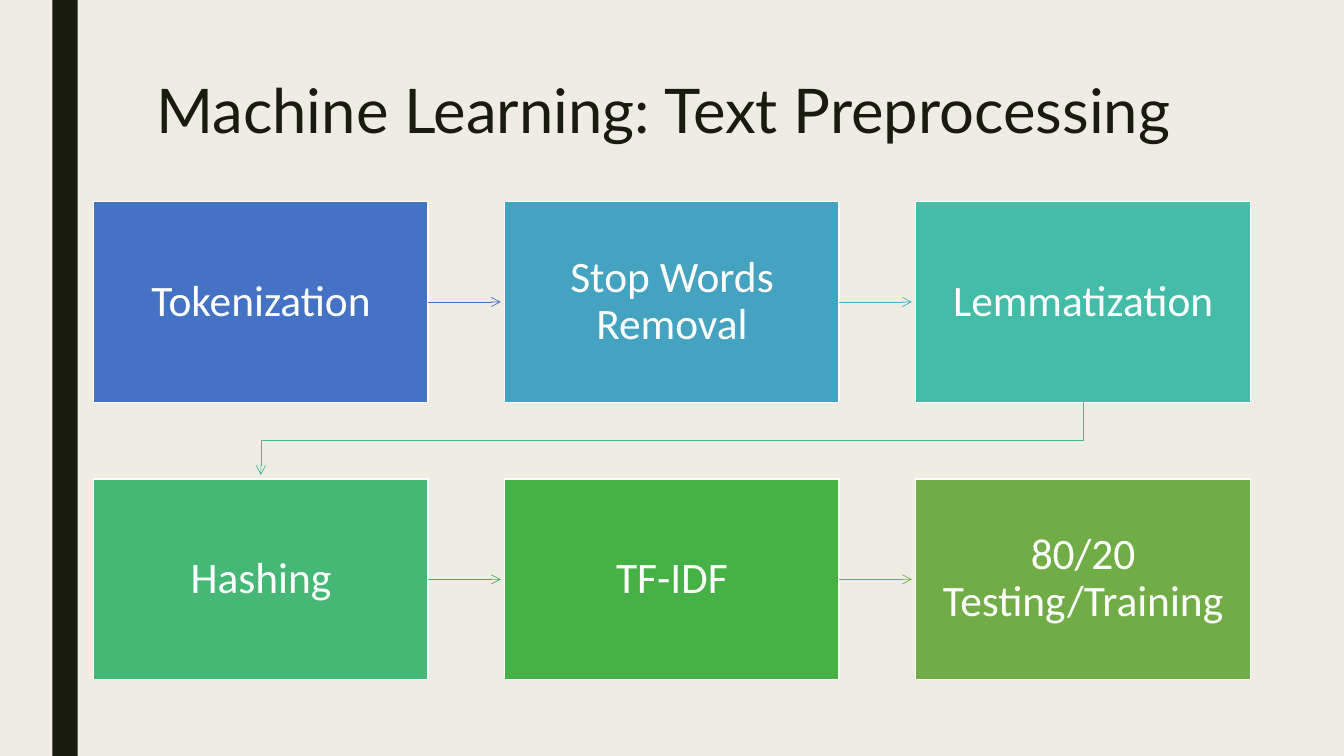
from dataclasses import dataclass

from lxml.etree import SubElement
from pptx import Presentation
from pptx.dml.color import RGBColor
from pptx.enum.shapes import MSO_CONNECTOR, MSO_SHAPE
from pptx.enum.text import MSO_ANCHOR, PP_ALIGN
from pptx.oxml.ns import qn
from pptx.shapes.autoshape import Shape
from pptx.shapes.connector import Connector
from pptx.slide import Slide
from pptx.text.text import TextFrame
from pptx.util import Cm, Pt

CREAM = RGBColor(0xEF, 0xED, 0xE3)
INK = RGBColor(0x19, 0x1B, 0x0E)
WHITE = RGBColor(0xFF, 0xFF, 0xFF)
BLUE = RGBColor(0x44, 0x72, 0xC4)
SKY = RGBColor(0x44, 0xA3, 0xC0)
CYAN = RGBColor(0x43, 0xAF, 0xC0)
TEAL = RGBColor(0x43, 0xBD, 0xA7)
SEA = RGBColor(0x43, 0xBB, 0x8D)
MINT = RGBColor(0x44, 0xB8, 0x74)
EMERALD = RGBColor(0x45, 0xB4, 0x51)
GREEN = RGBColor(0x46, 0xB2, 0x46)
OLIVE = RGBColor(0x70, 0xAD, 0x47)

# Grid of steps
COLUMNS = 3
GRID_LEFT, GRID_TOP = Cm(2.36), Cm(5.08)
COLUMN_PITCH, ROW_PITCH = Cm(10.36), Cm(6.99)
BOX_WIDTH, BOX_HEIGHT = Cm(8.43), Cm(5.06)
ARROW_GAP = Cm(0.1)
RIGHT_SIDE = 3


@dataclass(frozen=True)
class Step:
    label: str
    fill: RGBColor
    arrow: RGBColor | None = None


STEPS = [
    Step("Tokenization", BLUE, BLUE),
    Step("Stop Words Removal", SKY, CYAN),
    Step("Lemmatization", TEAL, SEA),
    Step("Hashing", MINT, EMERALD),
    Step("TF-IDF", GREEN, OLIVE),
    Step("80/20 Testing/Training", OLIVE),
]


def set_text(frame: TextFrame, text: str, font: str, size: int,
             color: RGBColor, inset: float) -> None:
    frame.text = text
    frame.word_wrap = True
    frame.margin_left = frame.margin_right = Cm(inset)
    frame.margin_top = frame.margin_bottom = Cm(inset)
    para = frame.paragraphs[0]
    para.line_spacing = 0.9
    span = para.runs[0]
    span.font.name = font
    span.font.size = Pt(size)
    span.font.color.rgb = color


def add_rectangle(page: Slide, left: int, top: int, width: int, height: int,
                  fill: RGBColor) -> Shape:
    box = page.shapes.add_shape(MSO_SHAPE.RECTANGLE, left, top, width, height)
    box.shadow.inherit = False
    box.fill.solid()
    box.fill.fore_color.rgb = fill
    box.line.fill.background()
    return box


def add_step(page: Slide, index: int, step: Step) -> Shape:
    row, column = divmod(index, COLUMNS)
    box = add_rectangle(page, GRID_LEFT + column * COLUMN_PITCH,
                        GRID_TOP + row * ROW_PITCH, BOX_WIDTH, BOX_HEIGHT, step.fill)
    box.line.color.rgb = WHITE
    box.line.width = Pt(1)
    set_text(box.text_frame, step.label, "Calibri", 31, WHITE, 0.6)
    box.text_frame.vertical_anchor = MSO_ANCHOR.MIDDLE
    box.text_frame.paragraphs[0].alignment = PP_ALIGN.CENTER
    return box


def style_arrow(arrow: Shape | Connector, color: RGBColor) -> None:
    arrow.line.color.rgb = color
    arrow.line.width = Pt(0.5)
    properties = arrow.line._get_or_add_ln()
    SubElement(properties, qn("a:tailEnd"), type="arrow")


def add_straight_arrow(page: Slide, source: Shape, target: Shape, color: RGBColor) -> None:
    middle = source.top + source.height // 2
    arrow = page.shapes.add_connector(MSO_CONNECTOR.STRAIGHT, source.left + source.width,
                                      middle, target.left - ARROW_GAP, middle)
    arrow.begin_connect(source, RIGHT_SIDE)
    style_arrow(arrow, color)
    SubElement(arrow._element.spPr, qn("a:effectLst"))


def add_row_arrow(page: Slide, source: Shape, target: Shape, color: RGBColor) -> None:
    start_x = source.left + source.width // 2
    end_x = target.left + target.width // 2
    bottom = source.top + source.height
    turn = (bottom + target.top) // 2
    builder = page.shapes.build_freeform(start_x, bottom)
    builder.add_line_segments([(start_x, turn), (end_x, turn),
                               (end_x, target.top - ARROW_GAP)], close=False)
    arrow = builder.convert_to_shape()
    arrow.shadow.inherit = False
    arrow.fill.background()
    style_arrow(arrow, color)


def main() -> None:
    deck = Presentation()
    deck.slide_width, deck.slide_height = Cm(33.87), Cm(19.05)
    page = deck.slides.add_slide(deck.slide_layouts[6])

    # Background and side bar
    page.background.fill.solid()
    page.background.fill.fore_color.rgb = CREAM
    add_rectangle(page, Cm(1.32), 0, Cm(0.64), deck.slide_height, INK)

    # Title
    title = page.shapes.add_textbox(Cm(3.81), Cm(1.9), Cm(26.67), Cm(4.11))
    set_text(title.text_frame, "Machine Learning: Text Preprocessing", "Lato", 44, INK, 0.13)

    # Steps and the arrows between them
    boxes = [add_step(page, index, step) for index, step in enumerate(STEPS)]
    for step, source, target in zip(STEPS, boxes, boxes[1:]):
        draw_arrow = add_straight_arrow if source.top == target.top else add_row_arrow
        draw_arrow(page, source, target, step.arrow)

    deck.save("out.pptx")


if __name__ == "__main__":
    main()
